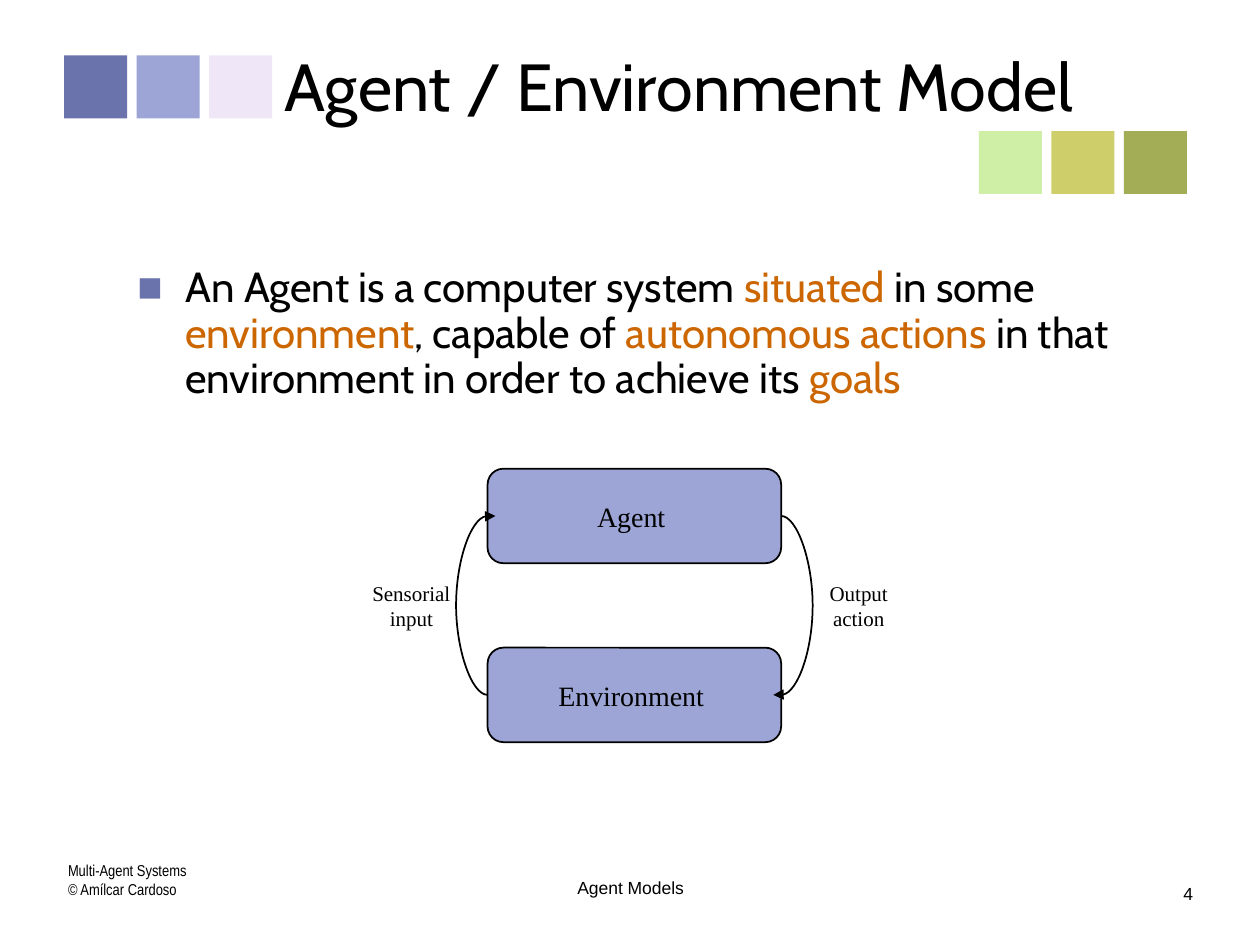
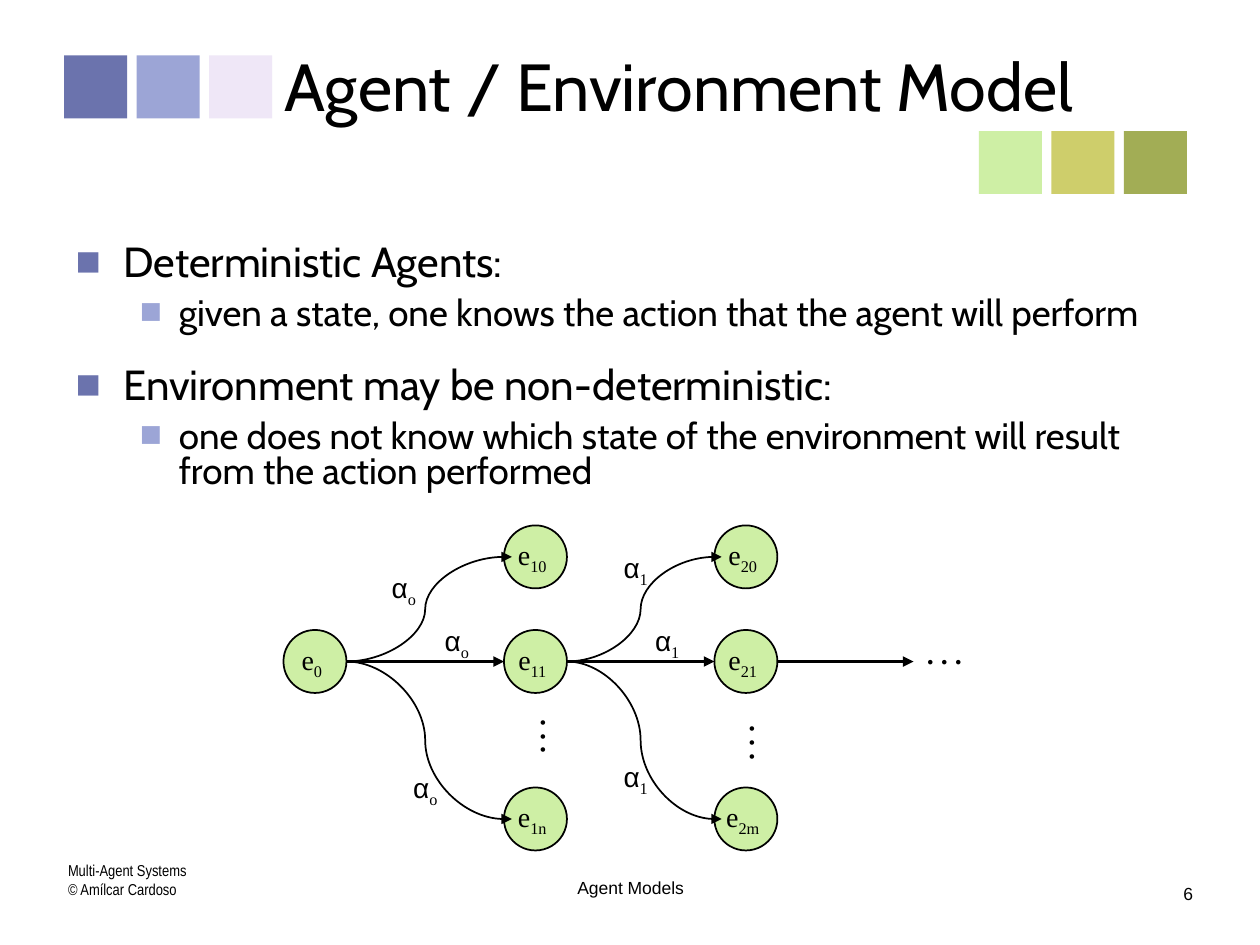
from dataclasses import dataclass, replace
from typing import Optional

from lxml import etree
from pptx import Presentation
from pptx.dml.color import RGBColor
from pptx.enum.shapes import MSO_CONNECTOR, MSO_SHAPE
from pptx.enum.text import MSO_ANCHOR, PP_ALIGN
from pptx.oxml.ns import qn
from pptx.util import Inches, Pt

RECT, ROUNDED, OVAL = MSO_SHAPE.RECTANGLE, MSO_SHAPE.ROUNDED_RECTANGLE, MSO_SHAPE.OVAL
STRAIGHT = MSO_CONNECTOR.STRAIGHT
TOP, MIDDLE = MSO_ANCHOR.TOP, MSO_ANCHOR.MIDDLE
LEFT, CENTER = PP_ALIGN.LEFT, PP_ALIGN.CENTER

BLACK, ORANGE = "000000", "CC6600"
INDIGO, PERIWINKLE, LILAC = "6B73AD", "9CA5D6", "EFE7F7"
MINT, MUSTARD, OLIVE = "CEEFA5", "CECE6B", "A2AD55"

SQUARE, SQUARE_STEP = 0.5, 0.575
DIAMETER = 0.5
BOX_W, BOX_H = 2.33, 0.75

ARC = (0, 0.5, 1, 1, 1, 0.5, 0, -0.25)
S_CURVE = (0, 0.25, 0.5, 0.5, 0.5, 0.75, 1, 1.05)
CURVE_RISE = (0, 0, 0.25, 0.5, 0.75, 1, 1, 1)


@dataclass(frozen=True)
class Style:
    font: str
    size: float
    color: str = BLACK
    bold: bool = False
    subscript: bool = False


@dataclass(frozen=True)
class Bullet:
    color: str
    margin: float
    hanging: float


@dataclass(frozen=True)
class Para:
    runs: list[tuple[str, Style]]
    bullet: Optional[Bullet] = None
    before: float = 0
    spacing: float = 1.0


@dataclass(frozen=True)
class Frame:
    insets: tuple[float, float, float, float]
    align: PP_ALIGN = CENTER
    anchor: MSO_ANCHOR = MIDDLE
    wrap: bool = False


TITLE = Style("Cabin", 38)
BODY = Style("Cabin", 24)
SUB_BODY = replace(BODY, size=21)
KEYWORD = replace(BODY, color=ORANGE)
COURSE = Style("Arial Narrow", 9)
FOOTER = Style("Arial", 10)
NODE = Style("Times New Roman", 16)
INDEX = replace(NODE, subscript=True)
DOTS = replace(NODE, bold=True)
CAPTION = replace(NODE, size=12)
ALPHA = Style("Arial", 16)

TITLE_FRAME = Frame((0.1, 0.06, 0.14, 0.06), LEFT, TOP, True)
BODY_FRAME = Frame((0.06, 0.06, 0.14, 0.06), LEFT, MIDDLE, True)
COURSE_FRAME = Frame((0.04, 0, 0.04, 0), LEFT, TOP, True)
FOOTER_FRAME = Frame((0.04, 0, 0.04, 0), CENTER, TOP, True)
NUMBER_FRAME = Frame((0.1, 0.05, 0.1, 0.05), CENTER, TOP)
LABEL_FRAME = Frame((0.04, 0, 0.04, 0))
SHAPE_FRAME = Frame((0, 0, 0.05, 0))

LEVEL_1 = Bullet(INDIGO, 0.42, 0.38)
LEVEL_2 = Bullet(PERIWINKLE, 0.86, 0.31)


def rgb(color: str) -> RGBColor:
    return RGBColor.from_string(color)


def add_bullet(p, bullet: Bullet) -> None:
    pPr = p._p.get_or_add_pPr()
    pPr.set("marL", str(Inches(bullet.margin)))
    pPr.set("indent", str(-Inches(bullet.hanging)))
    clr = etree.SubElement(pPr, qn("a:buClr"))
    etree.SubElement(clr, qn("a:srgbClr")).set("val", bullet.color)
    etree.SubElement(pPr, qn("a:buFont")).set("typeface", "Arial")
    etree.SubElement(pPr, qn("a:buChar")).set("char", "■")


def fill_text(sp, paras: list[Para], frame: Frame) -> None:
    tf = sp.text_frame
    tf.word_wrap = frame.wrap
    tf.vertical_anchor = frame.anchor
    tf.margin_left, tf.margin_top, tf.margin_right, tf.margin_bottom = map(Inches, frame.insets)
    for i, para in enumerate(paras):
        p = tf.add_paragraph() if i else tf.paragraphs[0]
        p.alignment = frame.align
        p.line_spacing = para.spacing
        p.space_before = Pt(para.before)
        if para.bullet:
            add_bullet(p, para.bullet)
        for text, style in para.runs:
            r = p.add_run()
            r.text = text
            r.font.name = style.font
            r.font.size = Pt(style.size)
            r.font.bold = style.bold
            r.font.color.rgb = rgb(style.color)
            if style.subscript:
                r.font._element.set("baseline", "-25000")


def add_text(s, at: tuple[float, float, float, float], paras: list[Para], frame: Frame):
    sp = s.shapes.add_textbox(*map(Inches, at))
    fill_text(sp, paras, frame)
    return sp


def lines(style: Style, *texts: str) -> list[Para]:
    return [Para([(text, style)]) for text in texts]


def add_block(s, kind, at: tuple[float, float, float, float], fill: str, outlined: bool = True):
    sp = s.shapes.add_shape(kind, *map(Inches, at))
    sp.shadow.inherit = False
    sp.fill.solid()
    sp.fill.fore_color.rgb = rgb(fill)
    if outlined:
        sp.line.color.rgb = rgb(BLACK)
        sp.line.width = Pt(1)
    else:
        sp.line.fill.background()
    return sp


def style_arrow(sp, width: float) -> None:
    sp.line.color.rgb = rgb(BLACK)
    sp.line.width = Pt(width)
    etree.SubElement(sp.line._get_or_add_ln(), qn("a:tailEnd")).set("type", "triangle")


def add_arrow(s, x0: float, x1: float, y: float) -> None:
    cxn = s.shapes.add_connector(STRAIGHT, Inches(x0), Inches(y), Inches(x1), Inches(y))
    style_arrow(cxn, 2)
    etree.SubElement(cxn._element.spPr, qn("a:effectLst"))


def add_curve(s, start: tuple[float, float], width: float, height: float,
              run: tuple[float, ...]) -> None:
    x, y = start
    points = [(Inches(x + width * u), Inches(y + height * v)) for u, v in zip(run, CURVE_RISE)]
    builder = s.shapes.build_freeform(*points[0])
    builder.add_line_segments(points[1:], close=False)
    sp = builder.convert_to_shape()
    sp.shadow.inherit = False
    sp.fill.background()
    style_arrow(sp, 1)
    segments = list(sp._element.iter(qn("a:lnTo")))
    for first in (0, 3):
        bezier = etree.Element(qn("a:cubicBezTo"))
        segments[first].addprevious(bezier)
        for segment in segments[first:first + 3]:
            bezier.append(segment[0])
            segment.getparent().remove(segment)


def add_base(prs, number: int):
    s = prs.slides.add_slide(prs.slide_layouts[6])
    bands = ((0.51, 0.44, (INDIGO, PERIWINKLE, LILAC)), (7.77, 1.04, (MINT, MUSTARD, OLIVE)))
    for left, top, colors in bands:
        for i, color in enumerate(colors):
            add_block(s, RECT, (left + i * SQUARE_STEP, top, SQUARE, SQUARE), color, False)
    add_text(s, (2.16, 0.3, 7.34, 1.45), lines(TITLE, "Agent / Environment Model"), TITLE_FRAME)
    add_text(s, (0.5, 6.83, 2.33, 0.53),
             lines(COURSE, "Multi-Agent Systems", "© Amílcar Cardoso"), COURSE_FRAME)
    add_text(s, (3.42, 6.96, 3.17, 0.26), lines(FOOTER, "Agent Models"), FOOTER_FRAME)
    add_text(s, (9.29, 6.96, 0.28, 0.26), lines(FOOTER, str(number)), NUMBER_FRAME)
    return s


def add_definition_slide(prs) -> None:
    s = add_base(prs, 4)
    definition = [
        ("An Agent is a computer system ", BODY), ("situated", KEYWORD),
        (" in some ", BODY), ("environment", KEYWORD),
        (", capable of ", BODY), ("autonomous actions", KEYWORD),
        (" in that environment in order to achieve its ", BODY), ("goals", KEYWORD),
    ]
    add_text(s, (0.99, 1.75, 8.51, 1.81), [Para(definition, LEVEL_1, 10, 0.9)], BODY_FRAME)

    left, agent_top, environment_top = 3.87, 3.72, 5.14
    for name, top in (("Agent", agent_top), ("Environment", environment_top)):
        sp = add_block(s, ROUNDED, (left, top, BOX_W, BOX_H), PERIWINKLE)
        fill_text(sp, lines(NODE, name), SHAPE_FRAME)
    agent_y, drop = agent_top + BOX_H / 2, environment_top - agent_top
    add_curve(s, (left + BOX_W, agent_y), 0.25, drop, ARC)
    add_curve(s, (left, agent_y + drop), -0.25, -drop, ARC)
    add_text(s, (2.91, 4.61, 0.71, 0.4), lines(CAPTION, "Sensorial", "input"), LABEL_FRAME)
    add_text(s, (6.54, 4.61, 0.55, 0.4), lines(CAPTION, "Output", "action"), LABEL_FRAME)


def add_state(s, left: float, center_y: float, index: str) -> None:
    sp = add_block(s, OVAL, (left, center_y - DIAMETER / 2, DIAMETER, DIAMETER), MINT)
    fill_text(sp, [Para([("e", NODE), (index, INDEX)])], SHAPE_FRAME)


def add_dots(s, left: float, top: float, rotation: int = 0) -> None:
    sp = add_text(s, (left, top, 0.37, 0.27), lines(DOTS, ". . ."), LABEL_FRAME)
    sp.rotation = rotation


def add_determinism_slide(prs) -> None:
    s = add_base(prs, 6)
    add_text(s, (0.5, 1.75, 9, 2.35), [
        Para([("Deterministic Agents:", BODY)], LEVEL_1, 10, 0.8),
        Para([("given a state, one knows the action that the agent will perform", SUB_BODY)],
             LEVEL_2, 7, 0.8),
        Para([("Environment may be non-deterministic:", BODY)], LEVEL_1, 20, 0.8),
        Para([("one does not know which state of the environment will result "
               "from the action performed", SUB_BODY)], LEVEL_2, 7, 0.8),
    ], BODY_FRAME)

    upper, axis, lower = 4.42, 5.25, 6.5
    columns = (
        (2.25, 4, ("10", "11", "1n"), "o", ((3.06, 4.53), (3.48, 4.95), (3.23, 6.12)), (4.05, 5.71)),
        (4, 5.67, ("20", "21", "2m"), "1", ((4.9, 4.37), (5.15, 4.95), (4.9, 6.03)), (5.71, 5.76)),
    )
    add_state(s, columns[0][0], axis, "0")
    for source, target, indices, action, labels, dots in columns:
        begin = source + DIAMETER
        for center_y, index, label in zip((upper, axis, lower), indices, labels):
            add_state(s, target, center_y, index)
            if center_y == axis:
                add_arrow(s, begin, target, axis)
            else:
                add_curve(s, (begin, axis), target - begin, center_y - axis, S_CURVE)
            add_text(s, (*label, 0.29, 0.3), [Para([("α", ALPHA), (action, INDEX)])], LABEL_FRAME)
        add_dots(s, *dots, rotation=270)
    add_arrow(s, columns[-1][1] + DIAMETER, 7.25, axis)
    add_dots(s, 7.31, 5.05)


def main() -> None:
    prs = Presentation()
    prs.slide_width, prs.slide_height = Inches(10), Inches(7.5)
    add_definition_slide(prs)
    add_determinism_slide(prs)
    prs.save("out.pptx")


if __name__ == "__main__":
    main()
